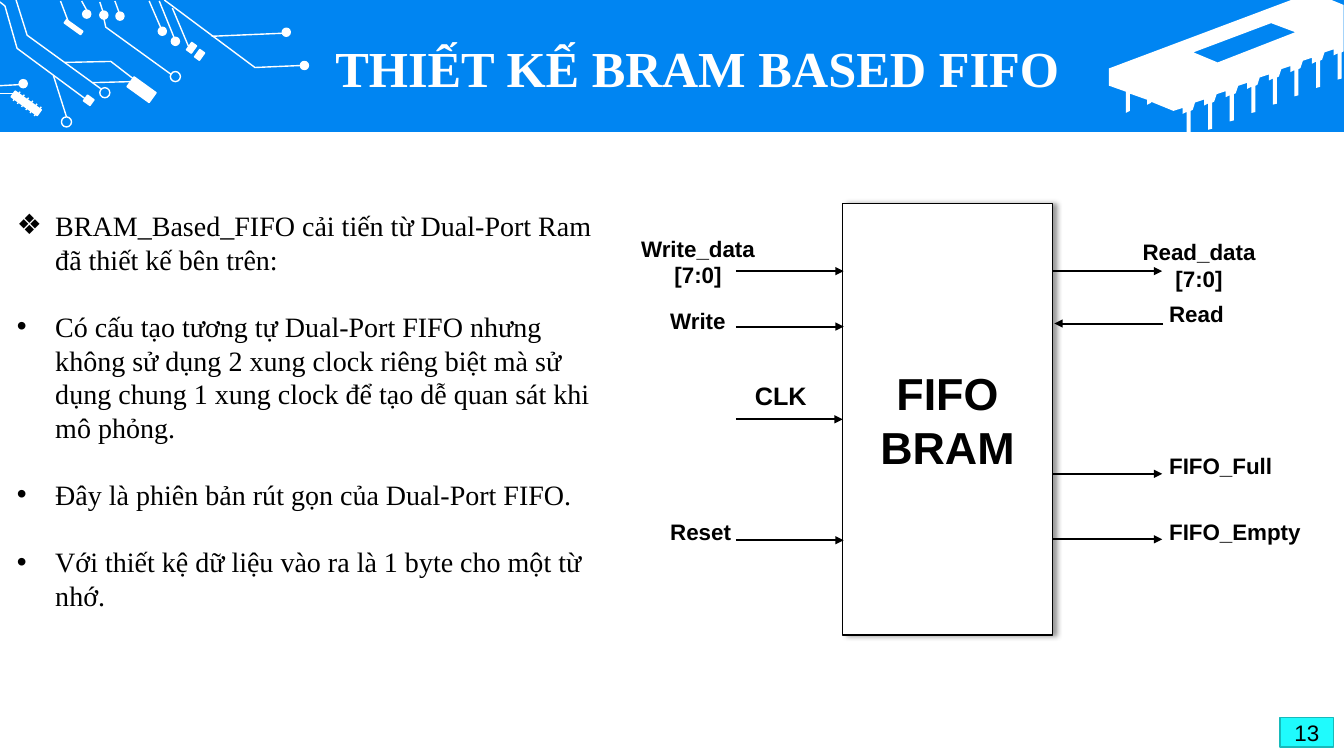
"""Builds the slide on the BRAM based FIFO design."""
from lxml.etree import SubElement
from pptx import Presentation
from pptx.dml.color import RGBColor
from pptx.enum.shapes import MSO_CONNECTOR, MSO_SHAPE
from pptx.enum.text import MSO_ANCHOR, PP_ALIGN
from pptx.oxml.ns import qn
from pptx.util import Inches, Pt

WHITE = RGBColor(0xFF, 0xFF, 0xFF)
BLACK = RGBColor(0, 0, 0)
HEADER_BLUE = RGBColor(0x00, 0x85, 0xF2)
BADGE_CYAN = RGBColor(0x1F, 0xFB, 0xFD)
BADGE_EDGE = RGBColor(0x17, 0xBA, 0xBB)
SERIF, SANS = "Times New Roman", "Arial"
COLUMNS, ROWS = 133.33, 75
TILT = 35.7

PADS = [(29.8, 6.1), (28, 2.8), (8.2, 1), (9.9, 1.1), (11.5, 1.2), (1.9, 7.9), (17, 3.7), (15.7, 2.7)]
RINGS = [(16.9, 7.1), (9.9, 8.7), (6.1, 11.6)]
COMPONENTS = [(12.7, 8.3, 2.7, 1.2), (6.3, 2.5, 2, 0.4), (8.4, 9.6, 0.8, 0.7),
              (18.7, 4.3, 0.6, 0.9), (19.5, 5, 0.6, 0.9), (1, 9.9, 3.2, 0.7)]
TRACES = [
    [(6, 0.1), (6.8, 2.2)], [(8.1, 0.1), (8.6, 1)], [(9.9, 0.2), (10.2, 1.1)],
    [(11.4, 0.1), (11.8, 1.2)], [(14.8, 0.1), (16.1, 3.1)], [(15.8, 0.1), (17.3, 3.8)],
    [(21, 3.6), (28, 3.3)], [(17.1, 0.8), (18.7, 4.6)], [(0, 8.5), (1.9, 8.4)],
    [(0, 9.3), (1.4, 9.3)], [(5.3, 7.5), (6.6, 11.6)], [(9.2, 8.2), (13, 8.1)],
    [(16.3, 0), (25.3, 6.7), (29.9, 6.5)], [(1.6, 0), (2.7, 3.5), (10, 8.8)],
    [(0, 0.2), (0.5, 0.6), (1.7, 4.8), (8.6, 9.9)], [(6.4, 6.2), (11, 6.1), (13.2, 7.8)],
    [(10.3, 1.8), (10.5, 2.7), (17, 7.4)],
]
CHIP_WINDOW = [(126.1, 2.3), (118.4, 5.2), (120.8, 6.2), (128.5, 3.2)]
CHIP_TOP = [(128.1, 0), (132.1, 0), (133.3, 0.5)]
CHIP_LEG = [(0.2, -0.1), (0, 0), (0, 2.6), (-0.4, 2.7), (-0.4, 0.1), (-0.8, 0.3), (-0.8, -0.3), (-1.7, 0)]
CHIP_END = [(114.2, 10.1), (114.2, 10.2), (113.8, 10.4), (113.8, 9.9), (112.1, 9.3), (112.1, 11),
            (111.7, 11.2), (111.7, 9.1), (110, 8.5), (110, 6.8)]

BULLETS = [
    ("❖", "BRAM_Based_FIFO cải tiến từ Dual-Port Ram đã thiết kế bên trên:"),
    ("•", "Có cấu tạo tương tự Dual-Port FIFO nhưng không sử dụng 2 xung clock riêng biệt "
          "mà sử dụng chung 1 xung clock để tạo dễ quan sát khi mô phỏng."),
    ("•", "Đây là phiên bản rút gọn của Dual-Port FIFO."),
    ("•", "Với thiết kệ dữ liệu vào ra là 1 byte cho một từ nhớ."),
]
INPUT_SPAN, OUTPUT_SPAN, READ_SPAN = (73, 83.7), (104.5, 115.3), (115.4, 104.6)
SIGNALS = [
    ("Write_data [7:0]", (60.4, 22.8, 17.7, 6.4), PP_ALIGN.CENTER, INPUT_SPAN, 26.9),
    ("Write", (65.5, 30, 11.9, 3.7), PP_ALIGN.LEFT, INPUT_SPAN, 32.4),
    ("Reset", (65.5, 50.9, 10.1, 3.7), PP_ALIGN.LEFT, INPUT_SPAN, 53.6),
    ("Read_data [7:0]", (110, 23.1, 17.9, 6.4), PP_ALIGN.CENTER, OUTPUT_SPAN, 26.9),
    ("Read", (115, 29.3, 8.5, 3.7), PP_ALIGN.LEFT, READ_SPAN, 32.1),
    ("FIFO_Full", (115, 44.4, 17.9, 3.7), PP_ALIGN.LEFT, OUTPUT_SPAN, 47),
    ("FIFO_Empty", (115, 50.9, 17.9, 3.7), PP_ALIGN.LEFT, OUTPUT_SPAN, 53.5),
]


def cells(*counts):
    """Turn grid columns or rows, ten to the inch, into lengths."""
    return [Inches(count / 10) for count in counts]


def write(paragraph, words, size, font, color=BLACK, bold=False, align=PP_ALIGN.CENTER):
    """Add one styled run to a paragraph."""
    paragraph.alignment = align
    run = paragraph.add_run()
    run.text = words
    run.font.size, run.font.name, run.font.bold = Pt(size), font, bold
    run.font.color.rgb = color


def add_block(slide, kind, box, fill=None, edge=None, tilt=0):
    """Add a preset shape with flat fill and edge."""
    block = slide.shapes.add_shape(kind, *cells(*box))
    block.shadow.inherit = False
    block.rotation = tilt
    paint(block, fill, edge)
    return block


def paint(shape, fill, edge):
    """Set fill and edge, leaving out whichever is None."""
    if fill is None:
        shape.fill.background()
    else:
        shape.fill.solid()
        shape.fill.fore_color.rgb = fill
    if edge is None:
        shape.line.fill.background()
    else:
        shape.line.color.rgb = edge
        shape.line.width = Pt(1)


def add_outline(slide, contours, closed, fill=None, edge=None):
    """Add a freeform made of one or more contours."""
    first, *others = [[cells(*point) for point in contour] for contour in contours]
    builder = slide.shapes.build_freeform(*first[0])
    builder.add_line_segments(first[1:], close=closed)
    for contour in others:
        builder.move_to(*contour[0])
        builder.add_line_segments(contour[1:], close=closed)
    outline = builder.convert_to_shape()
    outline.shadow.inherit = False
    paint(outline, fill, edge)


def add_line(slide, start, end, color, width, arrow=False):
    """Add a straight connector, with an arrowhead at its end if asked."""
    line = slide.shapes.add_connector(MSO_CONNECTOR.STRAIGHT, *cells(*start, *end))
    line.line.color.rgb = color
    line.line.width = Pt(width)
    properties = line._element.spPr
    if arrow:
        SubElement(properties.find(qn("a:ln")), qn("a:tailEnd"), type="triangle")
    SubElement(properties, qn("a:effectLst"))
    return line


def add_label(slide, box, words, size, font=SANS, color=BLACK, align=PP_ALIGN.CENTER):
    """Add a bold wrapping text box and return its frame."""
    frame = slide.shapes.add_textbox(*cells(*box)).text_frame
    frame.word_wrap = True
    write(frame.paragraphs[0], words, size, font, color, True, align)
    return frame


def add_header(slide):
    """Add the blue band with its circuit, chip and title."""
    add_block(slide, MSO_SHAPE.RECTANGLE, (0, 0, COLUMNS, 13.1), HEADER_BLUE)
    legs = [(133.1 - 2.14 * leg + x, 5.2 + 0.83 * leg + y) for leg in range(8) for x, y in CHIP_LEG]
    add_outline(slide, [CHIP_WINDOW, CHIP_TOP + legs + CHIP_END], True, WHITE)
    for component in COMPONENTS:
        add_block(slide, MSO_SHAPE.RECTANGLE, component, WHITE, WHITE, TILT)
    for pad in PADS:
        add_block(slide, MSO_SHAPE.OVAL, (*pad, 0.8, 0.8), WHITE, WHITE)
    for ring in RINGS:
        add_block(slide, MSO_SHAPE.OVAL, (*ring, 1, 1), None, WHITE)
    pins = [[(1.3 + 0.42 * pin, 10 + 0.3 * pin), (2 + 0.42 * pin, 9.1 + 0.3 * pin)] for pin in range(6)]
    for trace in TRACES + pins:
        if len(trace) == 2:
            add_line(slide, *trace, WHITE, 1)
        else:
            add_outline(slide, [trace], False, None, WHITE)
    title = add_label(slide, (29.7, 3.1, 79, 7.9), "THIẾT KẾ BRAM BASED FIFO", 36, SERIF, WHITE)
    title.vertical_anchor = MSO_ANCHOR.MIDDLE
    title.paragraphs[0].line_spacing = 0.9


def add_bullets(slide):
    """Add the bulleted description on the left."""
    frame = slide.shapes.add_textbox(*cells(0.7, 20.2, 59, 41.4)).text_frame
    frame.word_wrap = True
    for index, (mark, words) in enumerate(BULLETS):
        paragraph = frame.add_paragraph() if index else frame.paragraphs[0]
        write(paragraph, words, 20, SERIF, align=PP_ALIGN.LEFT)
        paragraph.space_before = Pt(24 if index else 0)
        properties = paragraph._p.get_or_add_pPr()
        indent = Inches(0.38)
        properties.set("marL", str(indent))
        properties.set("indent", str(-indent))
        SubElement(properties, qn("a:buFont"), typeface=SANS)
        SubElement(properties, qn("a:buChar"), char=mark)


def add_fifo_diagram(slide):
    """Add the FIFO block with its input and output signals."""
    fifo = add_block(slide, MSO_SHAPE.RECTANGLE, (83.6, 20.2, 20.8, 42.8), WHITE, BLACK)
    shadow = SubElement(fifo._element.spPr.find(qn("a:effectLst")), qn("a:outerShdw"),
                        blurRad=str(Pt(4)), dist=str(Pt(3)), dir="0", algn="l", rotWithShape="0")
    shade = SubElement(shadow, qn("a:srgbClr"), val=str(BLACK))
    SubElement(shade, qn("a:alpha"), val="40000")
    frame = fifo.text_frame
    frame.vertical_anchor = MSO_ANCHOR.MIDDLE
    write(frame.paragraphs[0], "FIFO", 32, SANS, bold=True)
    write(frame.add_paragraph(), "BRAM", 32, SANS, bold=True)

    clock = add_line(slide, (73, 41.6), (83.6, 41.6), BLACK, 1.5, arrow=True)
    clock.end_connect(fifo, 1)
    add_label(slide, (73.9, 37.2, 9.2, 4), "CLK", 18, align=PP_ALIGN.LEFT)
    for name, box, align, (start, end), row in SIGNALS:
        add_line(slide, (start, row), (end, row), BLACK, 1.5, arrow=True)
        add_label(slide, box, name, 16, align=align)


def add_page_number(slide):
    """Add the page number badge in the lower right corner."""
    badge = add_block(slide, MSO_SHAPE.RECTANGLE, (127, 71.2, 5.3, 2.9), BADGE_CYAN, BADGE_EDGE)
    badge.text_frame.vertical_anchor = MSO_ANCHOR.MIDDLE
    write(badge.text_frame.paragraphs[0], "13", 16, SANS)


def main():
    """Build and save the slide."""
    deck = Presentation()
    deck.slide_width, deck.slide_height = cells(COLUMNS, ROWS)
    slide = deck.slides.add_slide(deck.slide_layouts[6])
    add_header(slide)
    add_bullets(slide)
    add_fifo_diagram(slide)
    add_page_number(slide)
    deck.save("out.pptx")


if __name__ == "__main__":
    main()
